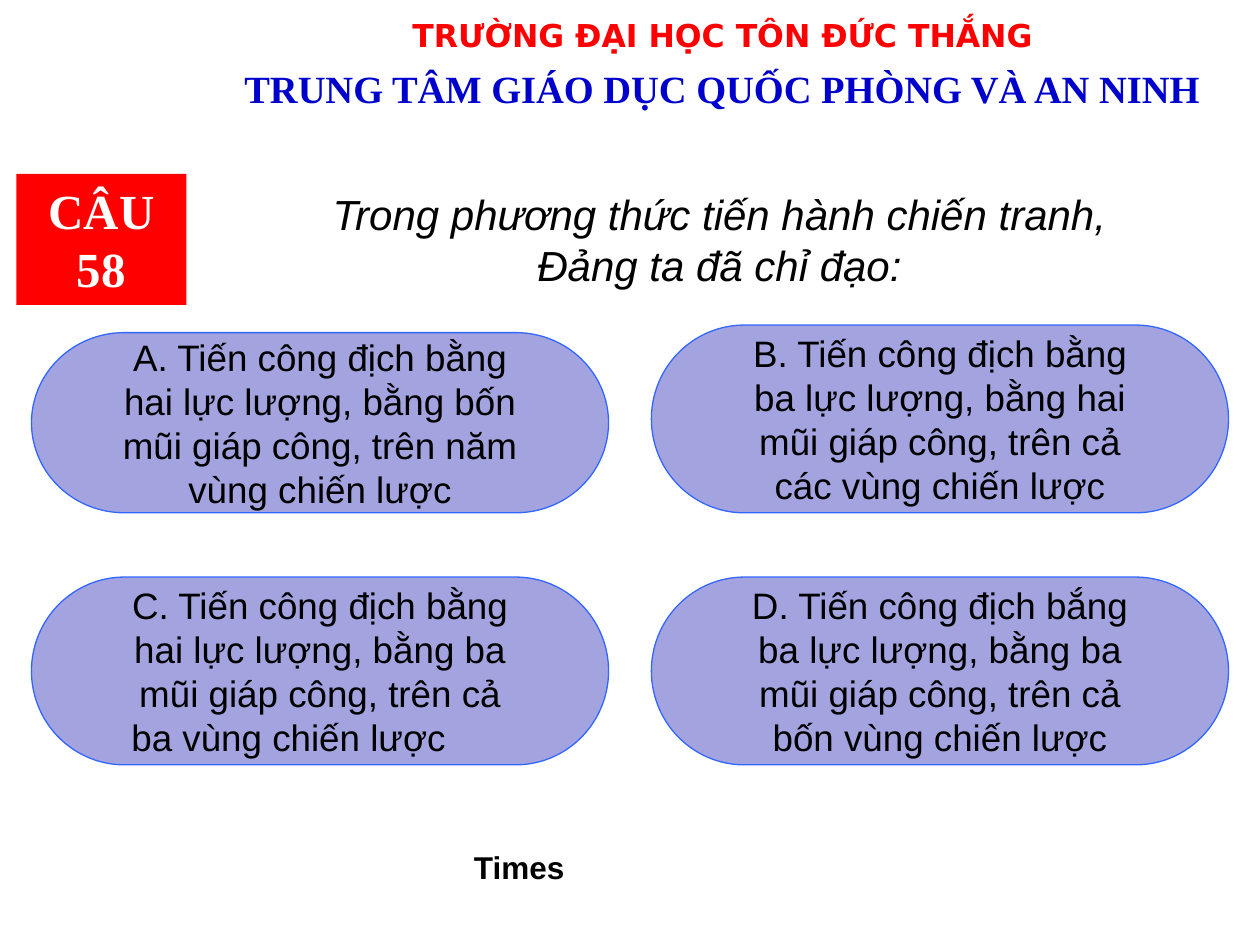
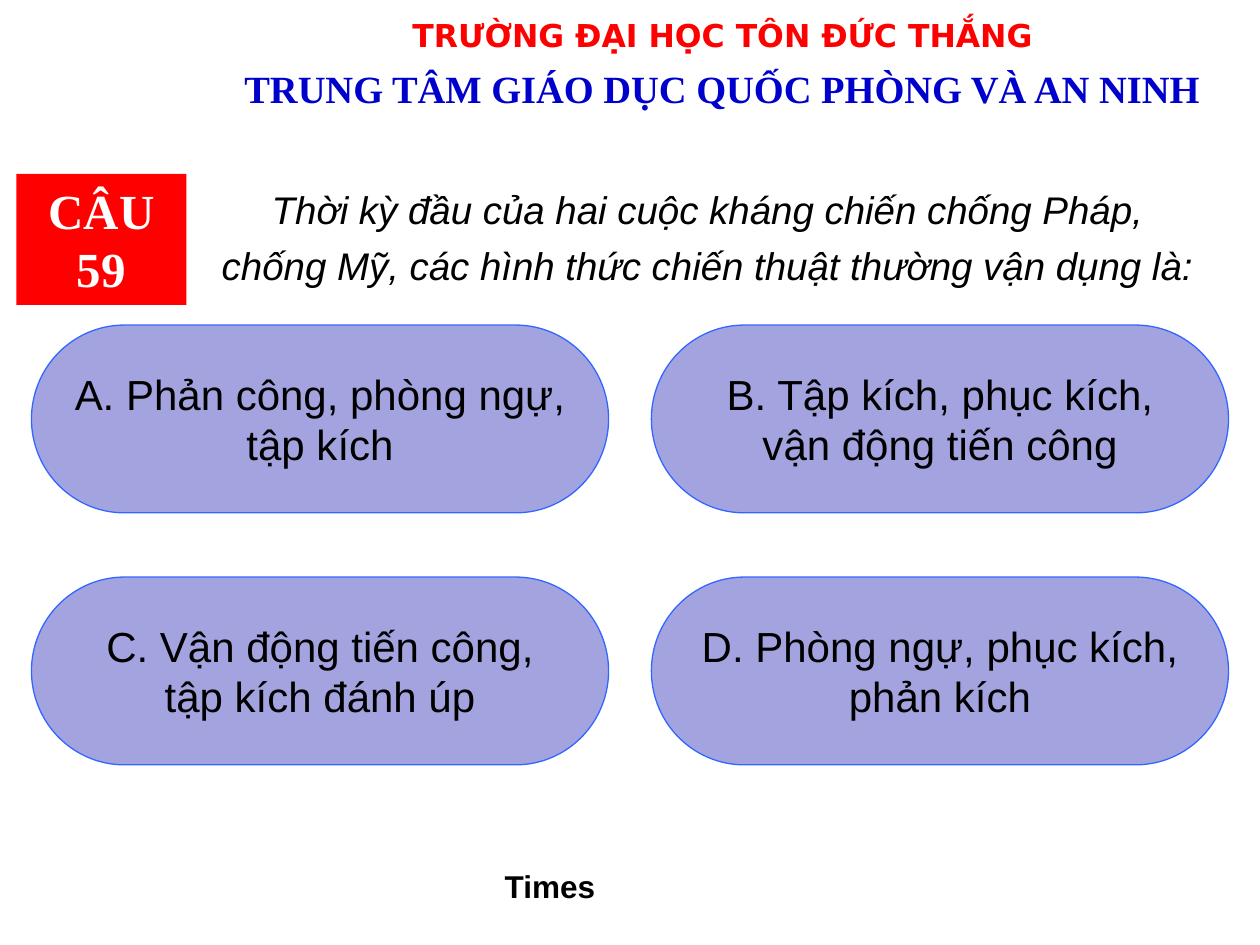
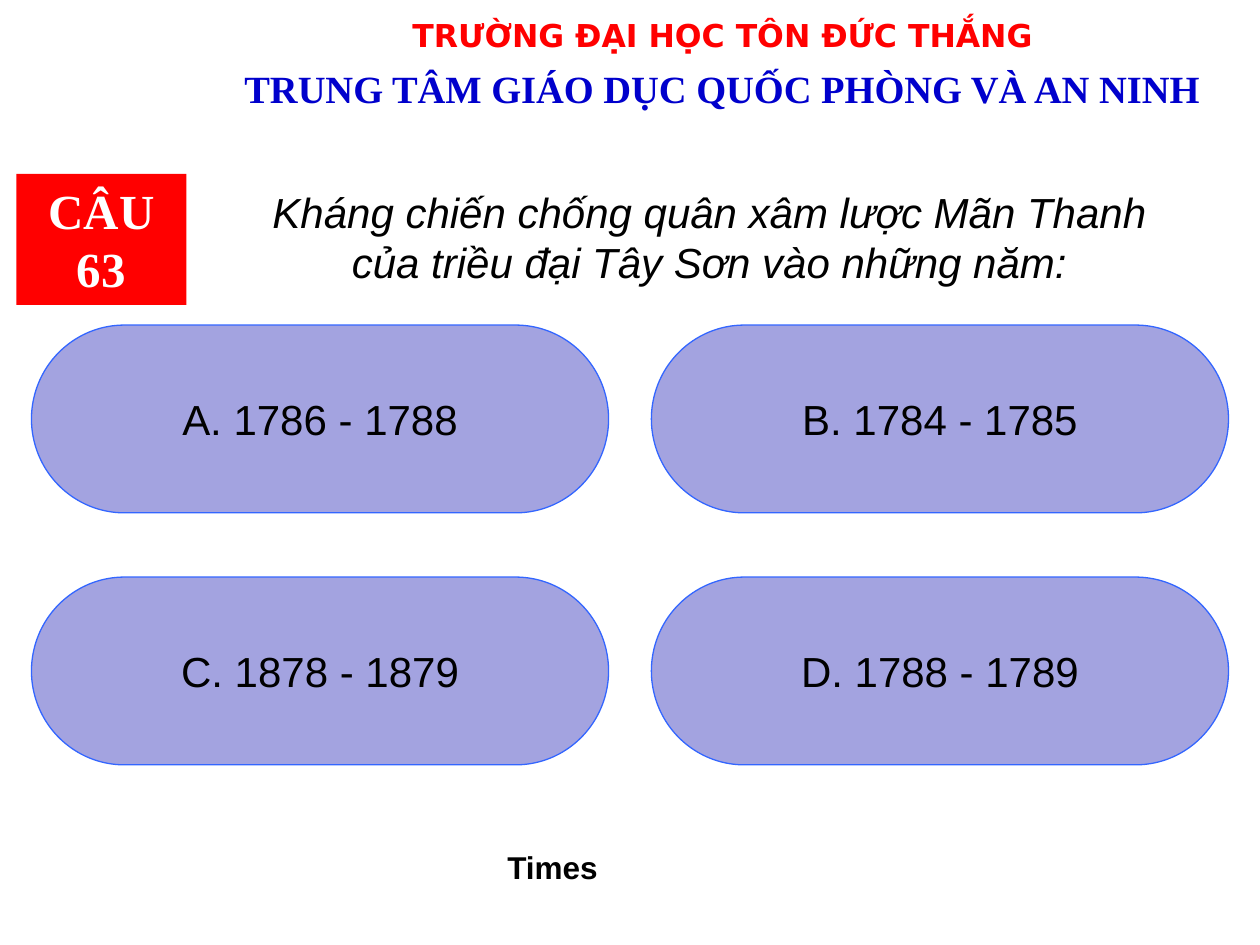
from dataclasses import dataclass

from pptx import Presentation
from pptx.dml.color import RGBColor
from pptx.enum.shapes import MSO_SHAPE
from pptx.enum.text import MSO_ANCHOR, PP_ALIGN
from pptx.util import Inches, Pt


@dataclass(frozen=True)
class Theme:
    red: str = "FF0000"
    navy: str = "0000CC"
    black: str = "000000"
    white: str = "FFFFFF"
    lavender: str = "A3A3E0"
    outline: str = "3366FF"
    sans: str = "Arial"
    serif: str = "Times New Roman"
    school_font: str = "DejaVu Sans"
    school_size: int = 18
    center_size: int = 22
    number_size: int = 28
    timer_size: int = 18


THEME = Theme()
COLUMNS = (0.25, 5.17)
ROWS = (2.58, 4.58)
ANSWER_W, ANSWER_H = 4.58, 1.49

QUIZ = [
    {
        "number": 58,
        "question": ["Trong phương thức tiến hành chiến tranh,", "Đảng ta đã chỉ đạo:"],
        "question_box": (1.92, 1.45, 7.58, 0.9),
        "question_size": 24,
        "answer_size": 21,
        "answers": [
            ["A. Tiến công địch bằng", "hai lực lượng, bằng bốn",
             "mũi giáp công, trên năm", "vùng chiến lược"],
            ["B. Tiến công địch bằng", "ba lực lượng, bằng hai",
             "mũi giáp công, trên cả", "các vùng chiến lược"],
            ["C. Tiến công địch bằng", "hai lực lượng, bằng ba",
             "mũi giáp công, trên cả", "ba vùng chiến lược"],
            ["D. Tiến công địch bắng", "ba lực lượng, bằng ba",
             "mũi giáp công, trên cả", "bốn vùng chiến lược"],
        ],
        "first_answer_drop": 0.06,
        "last_line_indents": {2: 0.5},
        "timer_box": (3.58, 6.68, 1.08, 0.4),
    },
    {
        "number": 59,
        "question": ["Thời kỳ đầu của hai cuộc kháng chiến chống Pháp,",
                     "chống Mỹ, các hình thức chiến thuật thường vận dụng là:"],
        "question_box": (1.48, 1.43, 8.27, 0.91),
        "question_size": 22,
        "question_gap": 5.5,
        "answer_size": 24,
        "answers": [
            ["A. Phản công, phòng ngự,", "tập kích"],
            ["B. Tập kích, phục kích,", "vận động tiến công"],
            ["C. Vận động tiến công,", "tập kích đánh úp"],
            ["D. Phòng ngự, phục kích,", "phản kích"],
        ],
        "timer_box": (3.81, 6.83, 1.11, 0.4),
    },
    {
        "number": 63,
        "question": ["Kháng chiến chống quân xâm lược Mãn Thanh",
                     "của triều đại Tây Sơn vào những năm:"],
        "question_box": (1.67, 1.43, 7.92, 0.9),
        "question_size": 24,
        "answer_size": 24,
        "answers": [["A. 1786 - 1788"], ["B. 1784 - 1785"],
                    ["C. 1878 - 1879"], ["D. 1788 - 1789"]],
        "timer_box": (3.83, 6.68, 1.11, 0.4),
    },
]


def write_lines(sp, lines, size, color, font=THEME.sans, bold=False, italic=False, gap=0):
    tf = sp.text_frame
    tf.word_wrap = True
    for i, line in enumerate(lines):
        p = tf.add_paragraph() if i else tf.paragraphs[0]
        p.alignment = PP_ALIGN.CENTER
        if i and gap:
            p.space_before = Pt(gap)
        r = p.add_run()
        r.text = line
        r.font.size = Pt(size)
        r.font.name = font
        r.font.bold = bold
        r.font.italic = italic
        r.font.color.rgb = RGBColor.from_string(color)
    return tf


def add_text(s, box, lines, size, color, **style):
    sp = s.shapes.add_textbox(*map(Inches, box))
    write_lines(sp, lines, size, color, **style)


def add_filled(s, kind, box, fill, line=None):
    sp = s.shapes.add_shape(kind, *map(Inches, box))
    sp.shadow.inherit = False
    sp.fill.solid()
    sp.fill.fore_color.rgb = RGBColor.from_string(fill)
    if line:
        sp.line.color.rgb = RGBColor.from_string(line)
        sp.line.width = Pt(0.75)
    else:
        sp.line.fill.background()
    return sp


def add_header(s):
    add_text(s, (2.03, 0.08, 7.41, 0.34), ["TRƯỜNG ĐẠI HỌC TÔN ĐỨC THẮNG"],
             THEME.school_size, THEME.red, font=THEME.school_font, bold=True)
    add_text(s, (1.73, 0.47, 8, 0.32), ["TRUNG TÂM GIÁO DỤC QUỐC PHÒNG VÀ AN NINH"],
             THEME.center_size, THEME.navy, font=THEME.serif, bold=True)


def add_number(s, number):
    sp = add_filled(s, MSO_SHAPE.RECTANGLE, (0.13, 1.38, 1.35, 1.04), THEME.red)
    tf = write_lines(sp, [f"CÂU {number}"], THEME.number_size, THEME.white,
                     font=THEME.serif, bold=True)
    tf.vertical_anchor = MSO_ANCHOR.TOP


def add_answer(s, box, lines, size, last_line_indent):
    sp = add_filled(s, MSO_SHAPE.FLOWCHART_TERMINATOR, box, THEME.lavender, THEME.outline)
    tf = write_lines(sp, lines, size, THEME.black)
    tf.margin_left = tf.margin_right = 0
    tf.vertical_anchor = MSO_ANCHOR.MIDDLE
    if last_line_indent:
        pPr = tf.paragraphs[-1]._p.get_or_add_pPr()
        pPr.set("marR", str(Inches(last_line_indent)))


def add_answers(s, quiz):
    for i, lines in enumerate(quiz["answers"]):
        row, col = divmod(i, len(COLUMNS))
        drop = 0 if i else quiz.get("first_answer_drop", 0)
        box = (COLUMNS[col], ROWS[row] + drop, ANSWER_W, ANSWER_H - drop)
        indent = quiz.get("last_line_indents", {}).get(i, 0)
        add_answer(s, box, lines, quiz["answer_size"], indent)


def add_quiz_slide(prs, quiz):
    s = prs.slides.add_slide(prs.slide_layouts[6])
    add_header(s)
    add_text(s, quiz["question_box"], quiz["question"], quiz["question_size"],
             THEME.black, italic=True, gap=quiz.get("question_gap", 0))
    add_answers(s, quiz)
    add_text(s, quiz["timer_box"], ["Times"], THEME.timer_size, THEME.black, bold=True)
    add_number(s, quiz["number"])


def main():
    prs = Presentation()
    prs.slide_width = Inches(10)
    prs.slide_height = Inches(7.5)
    for quiz in QUIZ:
        add_quiz_slide(prs, quiz)
    prs.save("out.pptx")


if __name__ == "__main__":
    main()
